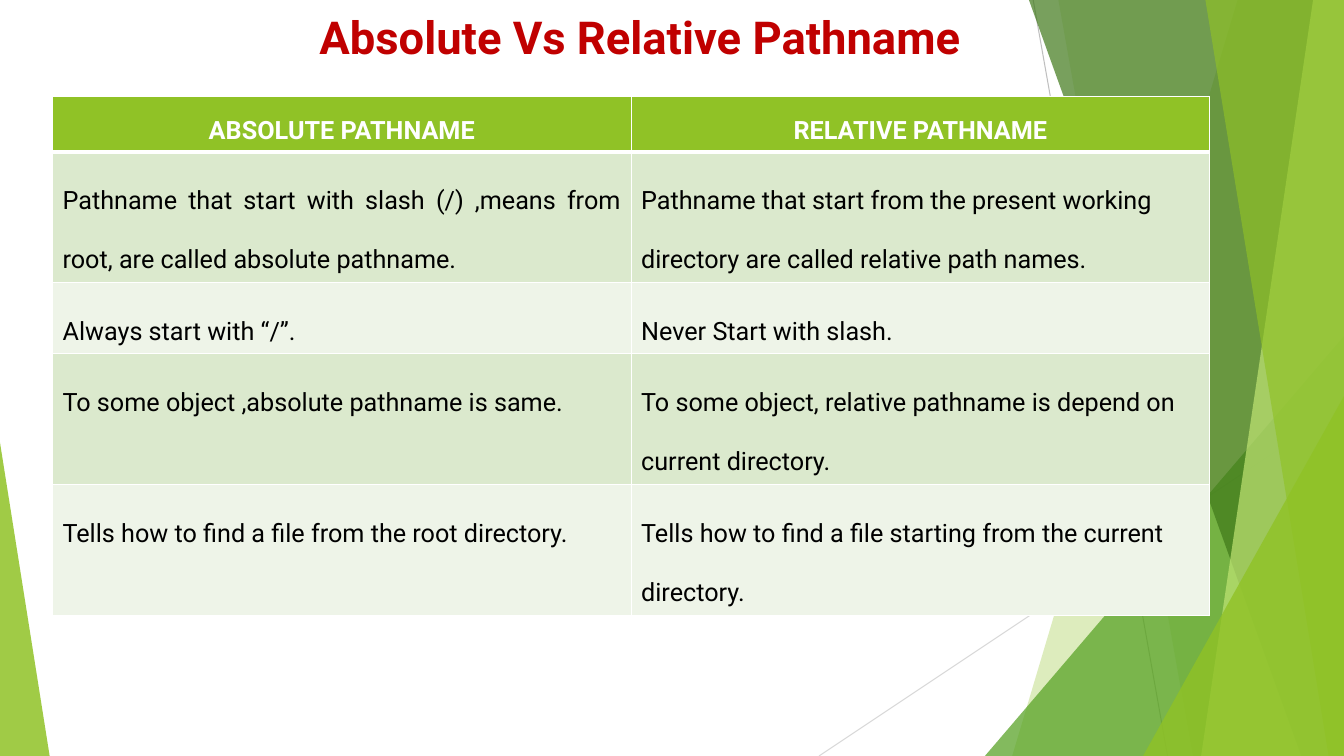
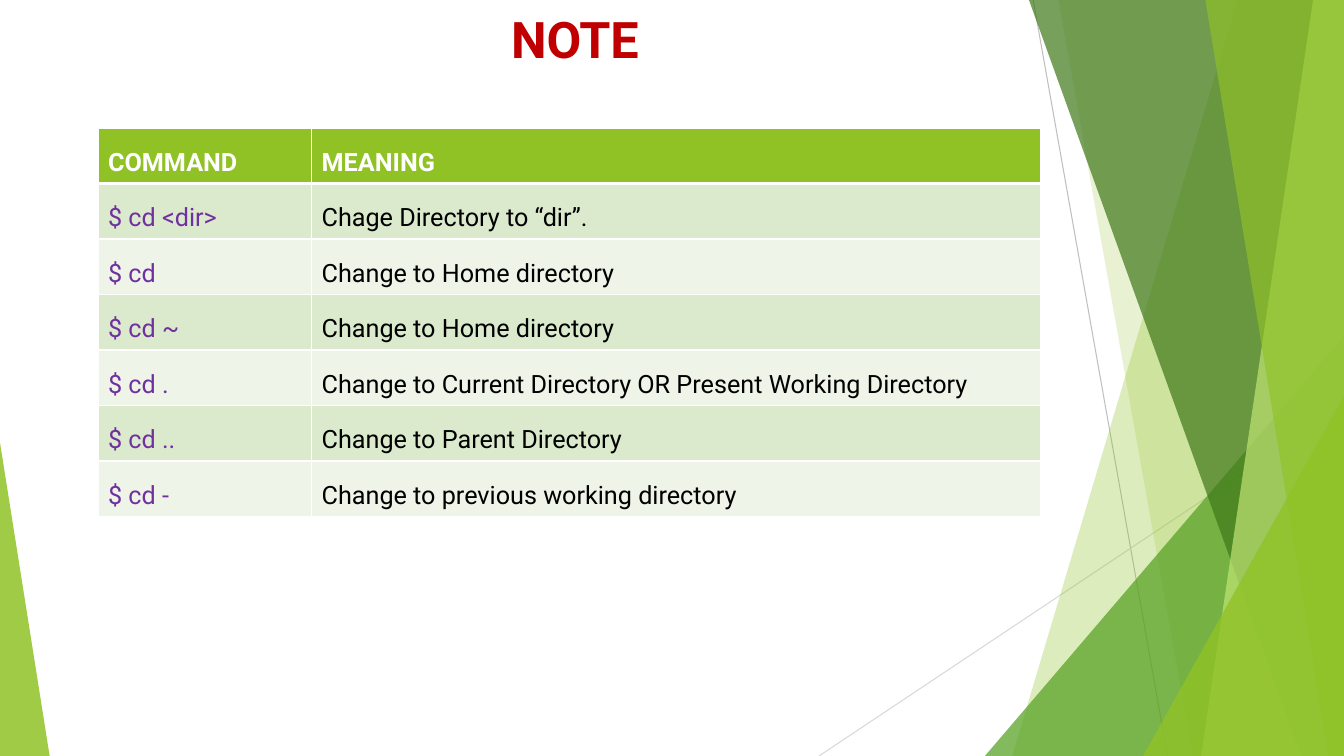
import pptx
import pptx.dml.color
import pptx.enum.shapes
import pptx.enum.text
import pptx.oxml
import pptx.oxml.ns
import pptx.util
from lxml import etree

Pt = pptx.util.Pt
RGB = pptx.dml.color.RGBColor
ALIGN = pptx.enum.text.PP_ALIGN
qn = pptx.oxml.ns.qn

# Palette
LIME = RGB(0x90, 0xC2, 0x26)
PALE_LIME = RGB(0xC0, 0xE4, 0x74)
GREEN = RGB(0x54, 0xA0, 0x21)
DARK_GREEN = RGB(0x3F, 0x78, 0x19)
BAND_DARK = RGB(0xDB, 0xE9, 0xCD)
BAND_LIGHT = RGB(0xEE, 0xF4, 0xE8)
GRAY = RGB(0xBF, 0xBF, 0xBF)
LIGHT_GRAY = RGB(0xD9, 0xD9, 0xD9)
RED = RGB(0xC0, 0x00, 0x00)
PURPLE = RGB(0x70, 0x30, 0xA0)
BLACK = RGB(0x00, 0x00, 0x00)
WHITE = RGB(0xFF, 0xFF, 0xFF)

WIDTH, HEIGHT = 960, 540
# Heights of table rows: 1.5 spacing, then one and two lines at double spacing
ROW, DOUBLE_ROW, TWO_LINE_ROW = 38.8, 49.4, 91.6


class Deck:
    """Holds the shared style and the slide being built."""

    TITLE = {"name": "Roboto", "bold": True}
    HEADER = {"name": "Roboto", "size": Pt(18), "bold": True}
    BODY = {"name": "Roboto", "size": Pt(18), "bold": False}

    def __init__(self):
        self.prs = pptx.Presentation()
        self.prs.slide_width, self.prs.slide_height = Pt(WIDTH), Pt(HEIGHT)
        self.slide = None

    def new_slide(self):
        self.slide = self.prs.slides.add_slide(self.prs.slide_layouts[6])
        self.facets()

    def facets(self):
        self.line((738, 0), (834, HEIGHT), GRAY)
        self.line((WIDTH, 290), (585, HEIGHT), LIGHT_GRAY)
        self.shard(884, 723, LIME, 30)
        self.shard(756, 852, LIME, 20)
        self.triangle(703.5, 240, 256.5, 1, GREEN, 72)
        self.shard(735, 929.5, DARK_GREEN, 70)
        self.shard(938, 858, PALE_LIME, 70)
        self.shard(861, 949, LIME, 65)
        self.triangle(816.5, 283, 143.5, 1, LIME, 80)
        self.triangle(0, 316, 35.5, 0, LIME, 85)

    def line(self, start, end, color):
        line = self.slide.shapes.add_connector(
            pptx.enum.shapes.MSO_CONNECTOR.STRAIGHT, *map(Pt, start + end))
        line.line.color.rgb = color
        line.line.width = Pt(0.75)
        etree.SubElement(line._element.spPr, qn("a:effectLst"))

    def shard(self, top_x, bottom_x, color, opacity):
        """Slanted panel that reaches the right edge of the slide."""
        builder = self.slide.shapes.build_freeform(Pt(top_x), 0)
        corners = [(WIDTH, 0), (WIDTH, HEIGHT), (bottom_x, HEIGHT)]
        builder.add_line_segments([(Pt(x), Pt(y)) for x, y in corners])
        self.tint(builder.convert_to_shape(), color, opacity)

    def triangle(self, left, top, width, apex, color, opacity):
        """Right triangle standing on the bottom edge of the slide."""
        triangle = self.slide.shapes.add_shape(
            pptx.enum.shapes.MSO_SHAPE.ISOSCELES_TRIANGLE,
            Pt(left), Pt(top), Pt(width), Pt(HEIGHT - top))
        triangle.adjustments[0] = apex
        self.tint(triangle, color, opacity)

    def tint(self, shape, color, opacity):
        shape.shadow.inherit = False
        shape.line.fill.background()
        shape.fill.solid()
        shape.fill.fore_color.rgb = color
        rgb = shape._element.spPr.find(qn("a:solidFill"))[0]
        etree.SubElement(rgb, qn("a:alpha"), val=str(opacity * 1000))

    def put_text(self, frame, text, font, color, align=ALIGN.LEFT, spacing=1.0):
        paragraph = frame.paragraphs[0]
        paragraph.alignment = align
        paragraph.line_spacing = spacing
        run = paragraph.add_run()
        run.text = text
        for key, value in font.items():
            setattr(run.font, key, value)
        run.font.color.rgb = color

    def title(self, text, left, top, width, height, size):
        box = self.slide.shapes.add_textbox(Pt(left), Pt(top), Pt(width), Pt(height))
        box.text_frame.word_wrap = True
        box.text_frame.margin_top = Pt(6.4)
        self.put_text(box.text_frame, text, {**self.TITLE, "size": Pt(size)}, RED)

    def borders(self, cell, top, bottom):
        properties = cell._tc.get_or_add_tcPr()
        sides = {"L": 1, "R": 1, "T": top, "B": bottom}
        for index, (side, width) in enumerate(sides.items()):
            edge = pptx.oxml.parse_xml(
                f'<a:ln{side} {pptx.oxml.ns.nsdecls("a")} w="{Pt(width)}">'
                f'<a:solidFill><a:srgbClr val="{WHITE}"/></a:solidFill></a:ln{side}>')
            properties.insert(index, edge)

    def table(self, left, top, widths, heights, rows, spacing,
              header_align=ALIGN.LEFT, first_color=BLACK, aligned=None):
        """Header row plus banded body; aligned maps (row, column) to alignment."""
        aligned = aligned or {}
        table = self.slide.shapes.add_table(
            len(rows), len(widths), Pt(left), Pt(top),
            Pt(sum(widths)), Pt(sum(heights))).table
        for column, width in zip(table.columns, widths):
            column.width = Pt(width)
        for r, (texts, height) in enumerate(zip(rows, heights)):
            table.rows[r].height = Pt(height)
            for c, text in enumerate(texts):
                cell = table.cell(r, c)
                cell.fill.solid()
                if r == 0:
                    cell.fill.fore_color.rgb = LIME
                    self.put_text(cell.text_frame, text, self.HEADER, WHITE,
                                  header_align, 1.5)
                else:
                    cell.fill.fore_color.rgb = BAND_DARK if r % 2 else BAND_LIGHT
                    self.put_text(cell.text_frame, text, self.BODY,
                                  BLACK if c else first_color,
                                  aligned.get((r, c), ALIGN.LEFT), spacing)
                self.borders(cell, 3 if r == 1 else 1, 3 if r == 0 else 1)


def main():
    deck = Deck()

    # Absolute and relative pathnames
    deck.new_slide()
    deck.title("Absolute Vs Relative Pathname", 221, 0, 507.6, 57.6, 32.4)
    pathnames = [
        ("ABSOLUTE PATHNAME", "RELATIVE PATHNAME"),
        ("Pathname that start with slash (/) ,means from root, are called absolute pathname.",
         "Pathname that start from the present working directory are called relative path names."),
        ("Always start with “/”.", "Never Start with slash."),
        ("To some object ,absolute pathname is same.",
         "To some object, relative pathname is depend on current directory."),
        ("Tells how to find a file from the root directory.",
         "Tells how to find a file starting from the current directory."),
    ]
    deck.table(37.5, 68.7, [413.3] * 2,
               [ROW, TWO_LINE_ROW, DOUBLE_ROW, TWO_LINE_ROW, TWO_LINE_ROW],
               pathnames, 2.0, header_align=ALIGN.CENTER,
               aligned={(1, 0): ALIGN.JUSTIFY})

    # Forms of the cd command
    deck.new_slide()
    deck.title("NOTE", 358, -0.7, 115.2, 60.5, 36)
    commands = [
        ("COMMAND", "MEANING"),
        ("$ cd <dir>", "Chage Directory to “dir”."),
        ("$ cd", "Change to Home directory"),
        ("$ cd ~", "Change to Home directory"),
        ("$ cd .", "Change to Current Directory OR Present Working Directory"),
        ("$ cd ..", "Change to Parent Directory"),
        ("$ cd -", "Change to previous working directory"),
    ]
    deck.table(70, 91.5, [152.6, 520.6], [ROW] * len(commands), commands, 1.5,
               first_color=PURPLE)

    deck.prs.save("out.pptx")


if __name__ == "__main__":
    main()
